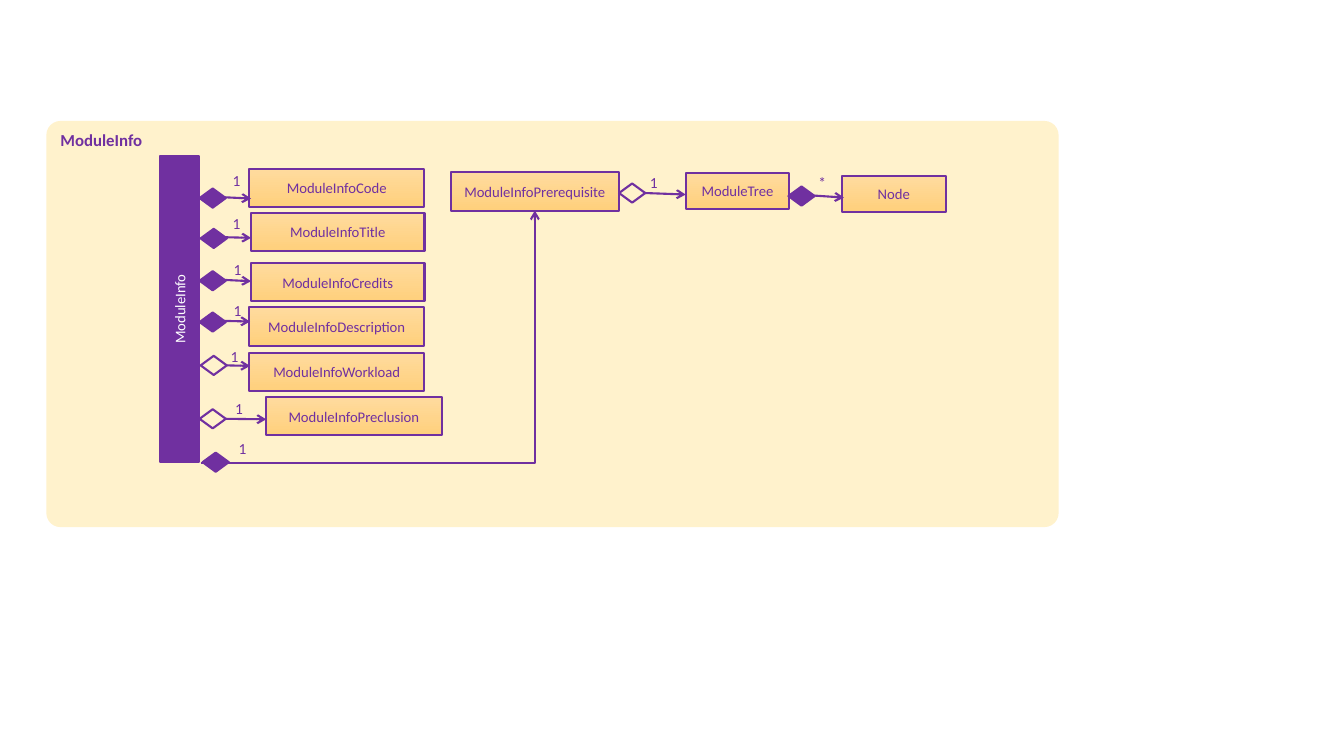
from lxml import etree
from pptx import Presentation
from pptx.dml.color import RGBColor
from pptx.enum import shapes as sh, text as tx
from pptx.oxml.ns import qn
from pptx.util import Inches, Pt

THEME = {
    "ink": "7030A0", "panel": "FFF2CC", "white": "FFFFFF",
    "grad": ("FFDB9E", "FFD07C"), "font": "Calibri",
    "head": 12, "body": 10.5, "mark": 11, "line": 1.5,
}
PANEL = ("ModuleInfo", (0.46, 1.2, 10.04, 4.03))
BAR = ("ModuleInfo", (0.26, 2.87, 3.04, 0.39))
BOXES = [
    ("ModuleInfoCode", (2.47, 1.68, 1.74, 0.37)),
    ("ModuleInfoTitle", (2.49, 2.11, 1.72, 0.38)),
    ("ModuleInfoCredits", (2.49, 2.61, 1.72, 0.38)),
    ("ModuleInfoDescription", (2.47, 3.05, 1.74, 0.38)),
    ("ModuleInfoWorkload", (2.47, 3.5, 1.74, 0.38)),
    ("ModuleInfoPreclusion", (2.64, 3.94, 1.74, 0.38)),
    ("ModuleInfoPrerequisite", (4.47, 1.71, 1.67, 0.38)),
    ("ModuleTree", (6.8, 1.72, 1.03, 0.35)),
    ("Node", (8.35, 1.75, 1.03, 0.35)),
]
GEM = (0.26, 0.19)
# diamond corner, filled, arrow tip
LINKS = [
    ((1.98, 1.87), True, (2.49, 1.97)),
    ((1.99, 2.27), True, (2.49, 2.36)),
    ((1.98, 2.69), True, (2.49, 2.79)),
    ((1.98, 3.1), True, (2.48, 3.19)),
    ((1.99, 3.53), False, (2.48, 3.63)),
    ((1.98, 4.06), False, (2.64, 4.16)),
    ((6.14, 1.82), False, (6.8, 1.93)),
    ((7.82, 1.85), True, (8.37, 1.96)),
]
ROOT = (2.01, 4.49)
BEND = (1.99, 4.59, 5.3, 2.09)
MARKS = [
    ("1", (2.25, 1.7, 0.19, 0.15)),
    ("1", (2.24, 2.12, 0.21, 0.2)),
    ("1", (2.25, 2.58, 0.21, 0.2)),
    ("1", (2.25, 2.99, 0.21, 0.2)),
    ("1", (2.22, 3.44, 0.21, 0.2)),
    ("1", (2.3, 3.96, 0.14, 0.17)),
    ("1", (2.31, 4.36, 0.19, 0.15)),
    ("1", (6.39, 1.72, 0.19, 0.15)),
    ("*", (8.06, 1.72, 0.19, 0.15)),
]


def tint(name):
    return RGBColor.from_string(THEME.get(name, name))


def write(shape, words, size, color, align, bold=False):
    frame = shape.text_frame
    frame.text = words
    para = frame.paragraphs[0]
    para.alignment = align
    font = para.runs[0].font
    font.name, font.size, font.bold = THEME["font"], Pt(THEME[size]), bold
    font.color.rgb = tint(color)


def draw(slide, kind, area, fill=None, edge=True):
    shape = slide.shapes.add_shape(kind, *map(Inches, area))
    shape.shadow.inherit = False
    if fill == "grad":
        shape.fill.gradient()
        shape.fill.gradient_angle = 270
        for stop, color in zip(shape.fill.gradient_stops, THEME["grad"]):
            stop.color.rgb = tint(color)
        for stop, spot in zip(shape.fill.gradient_stops, (0, 1)):
            stop.position = spot
    elif fill:
        shape.fill.solid()
        shape.fill.fore_color.rgb = tint(fill)
    else:
        shape.fill.background()
    if edge:
        shape.line.color.rgb = tint("ink")
        shape.line.width = Pt(THEME["line"])
    else:
        shape.line.fill.background()
    return shape


def label(slide, words, area, color, fill):
    shape = draw(slide, sh.MSO_SHAPE.RECTANGLE, area, fill)
    shape.text_frame.vertical_anchor = tx.MSO_ANCHOR.MIDDLE
    shape.text_frame.word_wrap = True
    write(shape, words, "body", color, tx.PP_ALIGN.CENTER)
    return shape


def gem(slide, spot, full):
    kind = sh.MSO_SHAPE.FLOWCHART_DECISION
    return draw(slide, kind, (*spot, *GEM), "ink" if full else None)


def arrow(slide, kind, ends):
    wire = slide.shapes.add_connector(kind, *map(Inches, ends))
    wire.line.color.rgb = tint("ink")
    wire.line.width = Pt(THEME["line"])
    props = wire._element.spPr
    etree.SubElement(props.find(qn("a:ln")), qn("a:tailEnd"), type="arrow")
    etree.SubElement(props, qn("a:effectLst"))
    return wire


def main():
    deck = Presentation()
    deck.slide_width, deck.slide_height = Inches(13.33), Inches(7.5)
    slide = deck.slides.add_slide(deck.slide_layouts[6])

    words, area = PANEL
    panel = draw(slide, sh.MSO_SHAPE.ROUNDED_RECTANGLE, area, "panel", False)
    panel.adjustments[0] = 0.035
    panel.text_frame.vertical_anchor = tx.MSO_ANCHOR.TOP
    write(panel, words, "head", "ink", tx.PP_ALIGN.LEFT, True)

    label(slide, *BAR, "white", "ink").rotation = 270
    boxes = {name: label(slide, name, area, "ink", "grad")
             for name, area in BOXES}

    bend = arrow(slide, sh.MSO_CONNECTOR.ELBOW, BEND)
    bend._element.spPr.find(qn("a:prstGeom")).set("prst", "bentConnector2")
    bend.end_connect(boxes["ModuleInfoPrerequisite"], 2)
    gem(slide, ROOT, True)

    for (x, y), full, tip in LINKS:
        node = gem(slide, (x, y), full)
        ends = (x + 0.1, y + 0.08, *tip)
        wire = arrow(slide, sh.MSO_CONNECTOR.STRAIGHT, ends)
        if not full:
            wire.begin_connect(node, 3)

    for words, area in MARKS:
        mark = slide.shapes.add_textbox(*map(Inches, area))
        frame = mark.text_frame
        frame.word_wrap = True
        frame.margin_left = frame.margin_right = 0
        frame.margin_top = frame.margin_bottom = 0
        write(mark, words, "mark", "ink", tx.PP_ALIGN.CENTER)

    deck.save("out.pptx")


if __name__ == "__main__":
    main()
